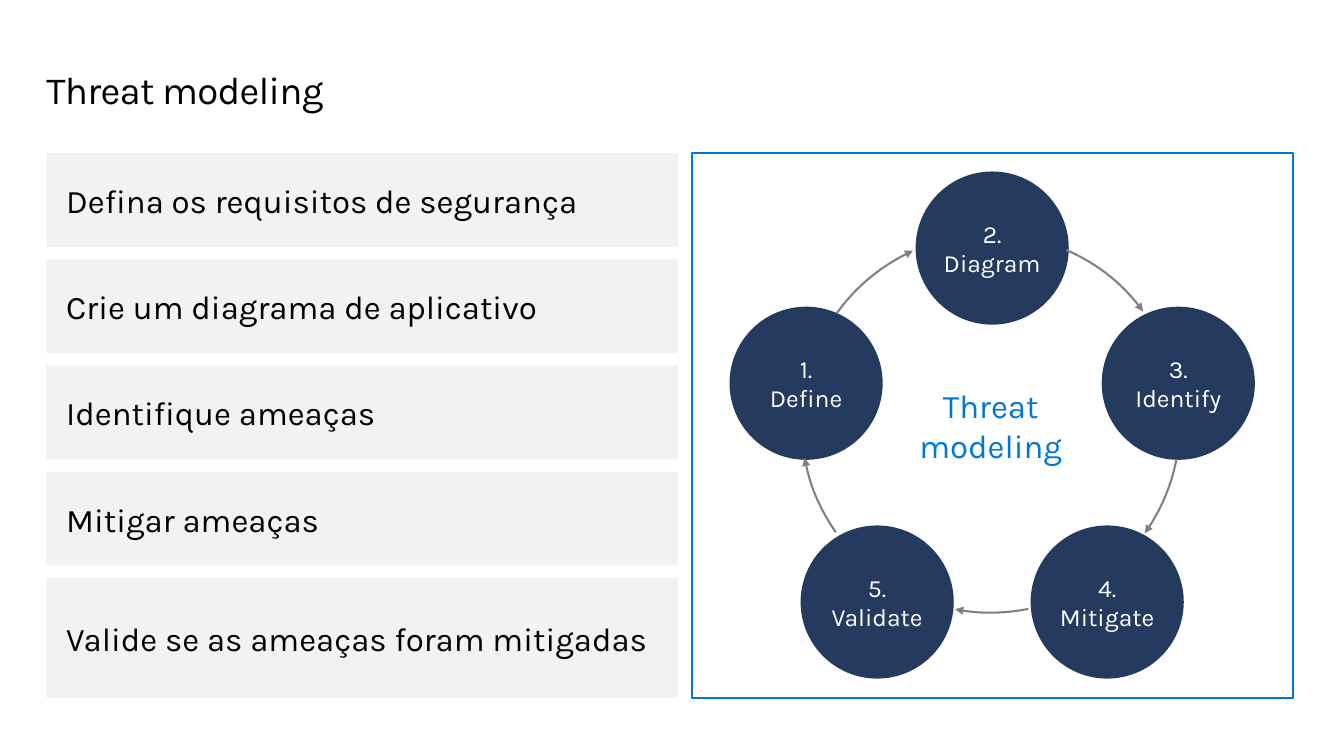
from math import cos, radians, sin

from lxml.etree import SubElement
from pptx import Presentation
from pptx.dml.color import RGBColor
from pptx.enum.shapes import MSO_SHAPE
from pptx.enum.text import MSO_ANCHOR, PP_ALIGN
from pptx.oxml.ns import qn
from pptx.util import Inches, Pt

COLORS = {
    "text": "000000",
    "panel": "F2F2F2",
    "accent": "0078D3",
    "navy": "243A5E",
    "arrow": "808080",
    "white": "FFFFFF",
}
REQUIREMENTS = [
    "Defina os requisitos de segurança",
    "Crie um diagrama de aplicativo",
    "Identifique ameaças",
    "Mitigar ameaças",
    "Valide se as ameaças foram mitigadas",
]
STAGES = [
    ("Define", 215.6, 245.8),
    ("Diagram", 293.6, 323.7),
    ("Identify", 10.9, 35.5),
    ("Mitigate", 78.5, 100.8),
    ("Validate", 144.9, 169.5),
]


def rgb(name):
    return RGBColor.from_string(COLORS[name])


def add_outline(shapes, preset, box, fill=None, line=None):
    outline = shapes.add_shape(preset, *map(Inches, box))
    outline.shadow.inherit = False
    if fill:
        outline.fill.solid()
        outline.fill.fore_color.rgb = rgb(fill)
    else:
        outline.fill.background()
    if line:
        outline.line.color.rgb = rgb(line)
        outline.line.width = Pt(1.5)
    else:
        outline.line.fill.background()
    return outline


def set_up_frame(frame, wrap=True, inset_x=0, inset_y=0, anchor=MSO_ANCHOR.MIDDLE):
    frame.word_wrap = wrap
    frame.vertical_anchor = anchor
    frame.margin_left = frame.margin_right = Inches(inset_x)
    frame.margin_top = frame.margin_bottom = Inches(inset_y)
    return frame


def add_run(paragraph, text, size, color, align=PP_ALIGN.CENTER):
    paragraph.alignment = align
    run = paragraph.add_run()
    run.text = text
    run.font.name = "Karla"
    run.font.size = Pt(size)
    run.font.color.rgb = rgb(color)
    return run


def add_title(shapes, box):
    heading = shapes.add_textbox(*map(Inches, box))
    frame = set_up_frame(heading.text_frame, anchor=MSO_ANCHOR.TOP)
    paragraph = frame.paragraphs[0]
    paragraph.line_spacing = Pt(32)
    run = add_run(paragraph, "Threat modeling", 28, "text", PP_ALIGN.LEFT)
    run.font._element.set("spc", "-50")


def add_requirements(shapes, box):
    left, top, width, height = box
    pitch, bar_height = 1.075, 0.95
    last = len(REQUIREMENTS) - 1
    for index, requirement in enumerate(REQUIREMENTS):
        offset = index * pitch
        tall = height - offset if index == last else bar_height
        bar = add_outline(shapes, MSO_SHAPE.RECTANGLE,
                          (left, top + offset, width, tall), fill="panel")
        frame = set_up_frame(bar.text_frame, inset_x=0.2, inset_y=0.15)
        add_run(frame.paragraphs[0], requirement, 24, "text", PP_ALIGN.LEFT)


def add_arc_arrow(shapes, box, start, end):
    arc = add_outline(shapes, MSO_SHAPE.ARC, box, line="arrow")
    for index, degrees in enumerate((start, end)):
        arc.adjustments[index] = degrees * 0.6
    SubElement(arc.line._get_or_add_ln(), qn("a:tailEnd"), type="triangle")


def add_cycle(shapes, box):
    left, top, width, height = box
    add_outline(shapes, MSO_SHAPE.RECTANGLE, box, line="accent")
    cycle = shapes.add_group_shape().shapes

    center_x, center_y = left + width / 2, top + 2.94
    radius, diameter, ring = 1.98, 1.55, 3.83
    ring_box = (left + 1.11, top + 0.82, ring, ring)

    core = cycle.add_textbox(*map(Inches, (left + 2.29, top + 2.35, 1.47, 0.81)))
    frame = set_up_frame(core.text_frame, wrap=False)
    add_run(frame.paragraphs[0], "Threat", 24, "accent")
    add_run(frame.add_paragraph(), "modeling", 24, "accent")

    for index, (stage, start, end) in enumerate(STAGES):
        angle = radians(198 + 72 * index)
        node_box = (center_x + radius * cos(angle) - diameter / 2,
                    center_y + radius * sin(angle) - diameter / 2,
                    diameter, diameter)
        node = add_outline(cycle, MSO_SHAPE.OVAL, node_box, fill="navy")
        paragraph = set_up_frame(node.text_frame).paragraphs[0]
        add_run(paragraph, f"{index + 1}.", 18, "white")
        paragraph.add_line_break()
        add_run(paragraph, stage, 18, "white")
        add_arc_arrow(cycle, ring_box, start, end)


def build():
    deck = Presentation()
    deck.slide_width, deck.slide_height = Inches(13.6), Inches(7.65)
    slide = deck.slides.add_slide(deck.slide_layouts[6])
    slide.background.fill.solid()
    slide.background.fill.fore_color.rgb = rgb("white")
    add_title(slide.shapes, (0.47, 0.69, 12.65, 0.45))
    add_requirements(slide.shapes, (0.47, 1.55, 6.39, 5.51))
    add_cycle(slide.shapes, (7, 1.55, 6.08, 5.51))
    deck.save("out.pptx")


build()
